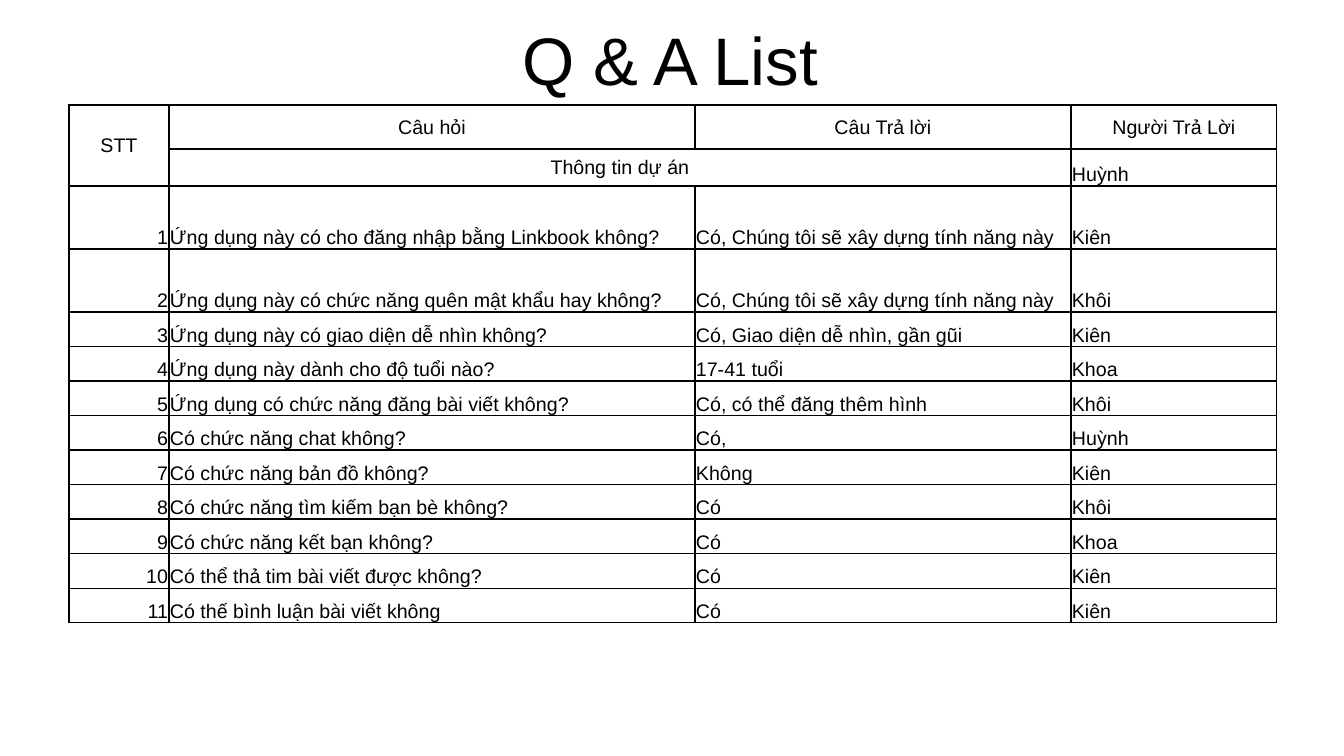
"""Build the Q & A List slide: a title above a bordered question table."""
import pptx
import pptx.dml.color
import pptx.enum.text
import pptx.oxml
import pptx.oxml.ns
import pptx.util

TITLE = "Q & A List"
HEADER = ("STT", "Câu hỏi", "Câu Trả lời", "Người Trả Lời")
SECTION = ("", "Thông tin dự án", "", "Huỳnh")
QUESTIONS = [
    ("Ứng dụng này có cho đăng nhập bằng Linkbook không?", "Có, Chúng tôi sẽ xây dựng tính năng này", "Kiên"),
    ("Ứng dụng này có chức năng quên mật khẩu hay không?", "Có, Chúng tôi sẽ xây dựng tính năng này", "Khôi"),
    ("Ứng dụng này có giao diện dễ nhìn không?", "Có, Giao diện dễ nhìn, gần gũi", "Kiên"),
    ("Ứng dụng này dành cho độ tuổi nào?", "17-41 tuổi", "Khoa"),
    ("Ứng dụng có chức năng đăng bài viết không?", "Có, có thể đăng thêm hình", "Khôi"),
    ("Có chức năng chat không?", "Có,", "Huỳnh"),
    ("Có chức năng bản đồ không?", "Không", "Kiên"),
    ("Có chức năng tìm kiếm bạn bè không?", "Có", "Khôi"),
    ("Có chức năng kết bạn không?", "Có", "Khoa"),
    ("Có thể thả tim bài viết được không?", "Có", "Kiên"),
    ("Có thế bình luận bài viết không", "Có", "Kiên"),
]

THEME = {"font": "Arial", "ink": "000000", "paper": "FFFFFF", "title": 48, "body": 14, "border": 1}
EMU_PER_PX = 914400 / 100.8
SLIDE_SIZE = (1344, 756)
TITLE_BOX = (513, 13, 318, 92)
TABLE_ORIGIN = (69, 105)
COLUMN_WIDTHS = (100, 526, 376, 206)
TOP_HEIGHTS = (44, 37, 63, 63)
SHORT_ROWS_HEIGHT = 311

ALIGN = pptx.enum.text.PP_ALIGN
ANCHOR = pptx.enum.text.MSO_ANCHOR


def px(length):
    return pptx.util.Emu(round(length * EMU_PER_PX))


def write_text(frame, text, size=THEME["body"], align=ALIGN.LEFT):
    paragraph = frame.paragraphs[0]
    paragraph.alignment = align
    run = paragraph.add_run()
    run.text = text
    run.font.size = pptx.util.Pt(size)
    run.font.name = THEME["font"]
    run.font.color.rgb = pptx.dml.color.RGBColor.from_string(THEME["ink"])


def style_cell(cell, anchor):
    cell.margin_left = cell.margin_right = cell.margin_top = px(1)
    cell.margin_bottom = 0
    cell.vertical_anchor = anchor
    properties = cell._tc.get_or_add_tcPr()
    for side in "LRTB":
        properties.append(pptx.oxml.parse_xml(
            f'<a:ln{side} {pptx.oxml.ns.nsdecls("a")} w="{pptx.util.Pt(THEME["border"])}">'
            f'<a:solidFill><a:srgbClr val="{THEME["ink"]}"/></a:solidFill></a:ln{side}>'))
    cell.fill.solid()
    cell.fill.fore_color.rgb = pptx.dml.color.RGBColor.from_string(THEME["paper"])


def add_title(slide):
    frame = slide.shapes.add_textbox(*map(px, TITLE_BOX)).text_frame
    frame.word_wrap = False
    frame.auto_size = pptx.enum.text.MSO_AUTO_SIZE.SHAPE_TO_FIT_TEXT
    write_text(frame, TITLE, size=THEME["title"])


def add_question_table(slide):
    numbered = [(str(number), *question) for number, question in enumerate(QUESTIONS, 1)]
    rows = [HEADER, SECTION, *numbered]
    short_count = len(rows) - len(TOP_HEIGHTS)
    heights = [*TOP_HEIGHTS] + [SHORT_ROWS_HEIGHT / short_count] * short_count
    size = (sum(COLUMN_WIDTHS), sum(heights))
    table = slide.shapes.add_table(
        len(rows), len(HEADER), *map(px, TABLE_ORIGIN + size)).table
    table.first_row = table.horz_banding = False
    for column, width in zip(table.columns, COLUMN_WIDTHS):
        column.width = px(width)
    for row, height in zip(table.rows, heights):
        row.height = px(height)
    table.cell(0, 0).merge(table.cell(1, 0))
    table.cell(1, 1).merge(table.cell(1, 2))
    for row_index, row in enumerate(rows):
        for column_index, text in enumerate(row):
            cell = table.cell(row_index, column_index)
            heading = row is HEADER or (row is SECTION and column_index < 3)
            style_cell(cell, ANCHOR.MIDDLE if heading else ANCHOR.BOTTOM)
            align = ALIGN.CENTER if heading else ALIGN.LEFT if column_index else ALIGN.RIGHT
            if not cell.is_spanned:
                write_text(cell.text_frame, text, align=align)


def main():
    presentation = pptx.Presentation()
    presentation.slide_width, presentation.slide_height = map(px, SLIDE_SIZE)
    slide = presentation.slides.add_slide(presentation.slide_layouts[6])
    add_title(slide)
    add_question_table(slide)
    presentation.save("out.pptx")


if __name__ == "__main__":
    main()
